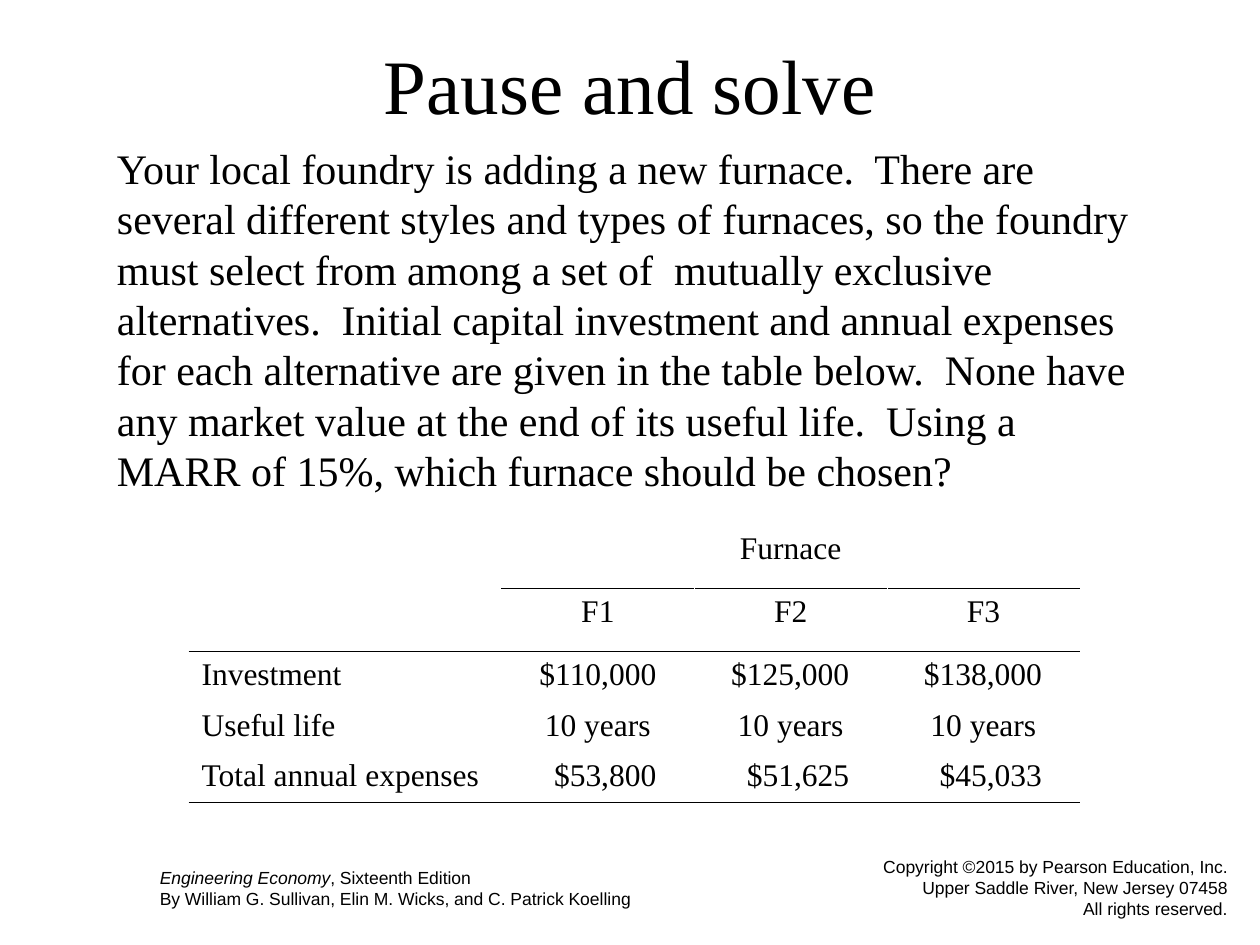
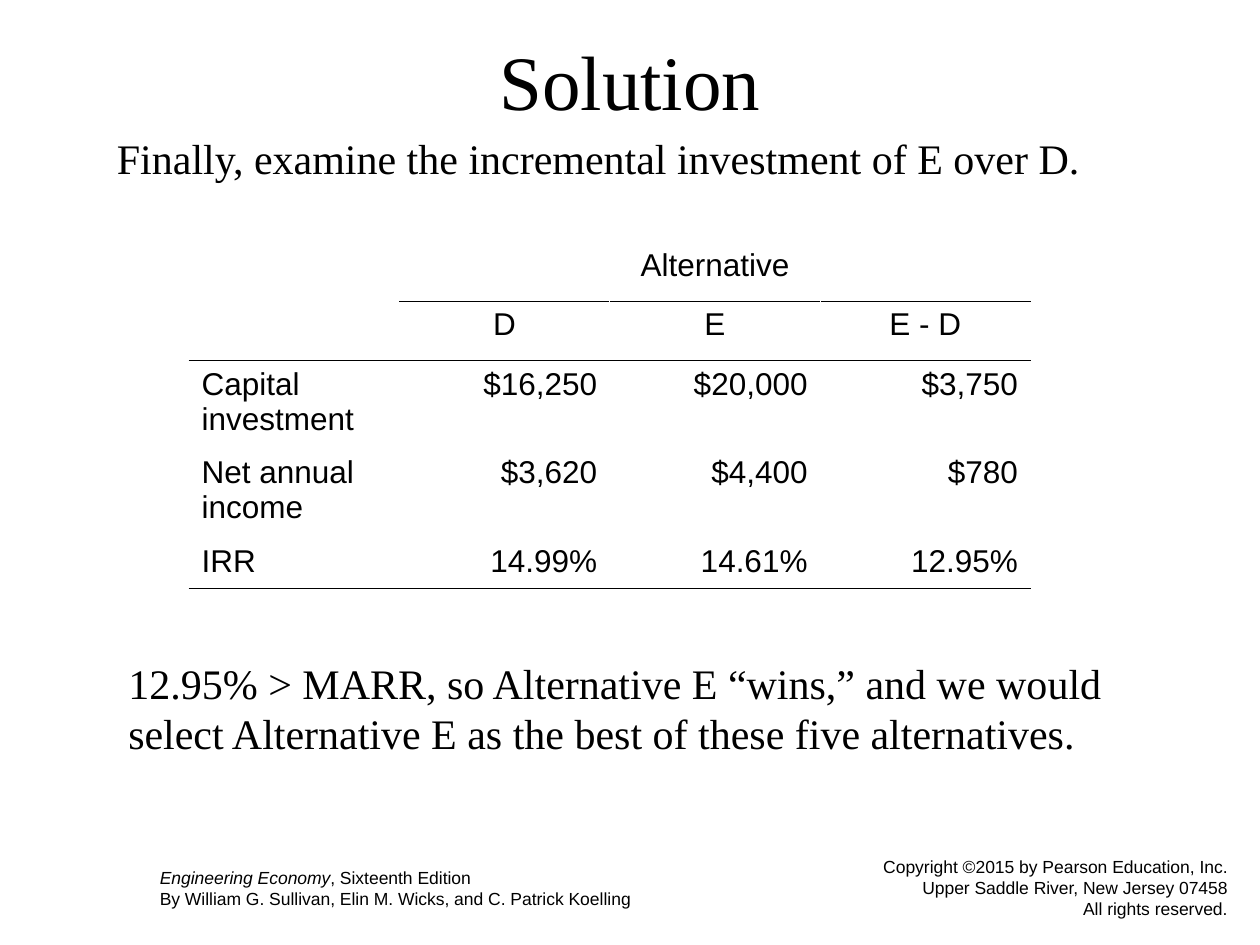
from dataclasses import dataclass

import pptx
from lxml import etree
from pptx.dml.color import RGBColor
from pptx.enum.text import MSO_ANCHOR, MSO_AUTO_SIZE, PP_ALIGN
from pptx.oxml.ns import qn
from pptx.util import Inches, Pt


@dataclass(frozen=True)
class Theme:
    ink: str = "000000"
    paper: str = "FFFFFF"
    serif: str = "Times New Roman"
    sans: str = "Arial"
    title: int = 44
    body: int = 24
    cell: int = 18
    footer: int = 10
    leading: float = 1.2
    rule: float = 0.45


THEME = Theme()
LEFT, CENTER, RIGHT, DECIMAL = "left", "center", "right", "decimal"
ALIGN = {LEFT: PP_ALIGN.LEFT, CENTER: PP_ALIGN.CENTER,
         RIGHT: PP_ALIGN.RIGHT, DECIMAL: PP_ALIGN.LEFT}
DECIMAL_TAB = 1.13

BOOK = ["Engineering Economy, Sixteenth Edition",
        "By William G. Sullivan, Elin M. Wicks, and C. Patrick Koelling"]
BOOK_TITLE = "Engineering Economy"
COPYRIGHT = ["Copyright ©2015 by Pearson Education, Inc.",
             "Upper Saddle River, New Jersey 07458",
             "All rights reserved."]

# Boxes are (left, top, width, height) in inches.
SLIDES = [
    {
        "title": ("Pause and solve", (0.75, 0.25, 8.5, 0.83)),
        "texts": [(
            "Your local foundry is adding a new furnace.  There are several different "
            "styles and types of furnaces, so the foundry must select from among a set "
            "of  mutually exclusive alternatives.  Initial capital investment and annual "
            "expenses for each alternative are given in the table below.  None have any "
            "market value at the end of its useful life.  Using a MARR of 15%, which "
            "furnace should be chosen?", (0.83, 1.08, 8.33, 2.9))],
        "table": {
            "at": (1.5, 4.17), "font": THEME.serif,
            "cols": [2.48, 1.53, 1.53, 1.53], "rows": [0.5, 0.5, 0.4, 0.4, 0.4],
            "group": "Furnace", "heads": ["F1", "F2", "F3"],
            "body": [
                ("Investment", DECIMAL, ["$110,000", "$125,000", "$138,000"]),
                ("Useful life", CENTER, ["10 years", "10 years", "10 years"]),
                ("Total annual expenses", DECIMAL, ["$53,800", "$51,625", "$45,033"]),
            ],
        },
    },
    {
        "title": ("Solution", (0.75, 0.17, 8.5, 0.92)),
        "texts": [
            ("Finally, examine the incremental investment of E over D.",
             (0.83, 1, 8.33, 0.5)),
            ("12.95% > MARR, so Alternative E “wins,” and we would select "
             "Alternative E as the best of these five alternatives.",
             (0.92, 5.17, 8.17, 0.9)),
        ],
        "table": {
            "at": (1.5, 1.92), "font": THEME.sans,
            "cols": [1.67] * 4, "rows": [0.47, 0.47, 0.7, 0.71, 0.4],
            "group": "Alternative", "heads": ["D", "E", "E - D"],
            "body": [
                ("Capital investment", RIGHT, ["$16,250", "$20,000", "$3,750"]),
                ("Net annual income", RIGHT, ["$3,620", "$4,400", "$780"]),
                ("IRR", RIGHT, ["14.99%", "14.61%", "12.95%"]),
            ],
        },
    },
]


def style(p, font, size, align=LEFT):
    p.alignment = ALIGN[align]
    for r in p.runs:
        r.font.name = font
        r.font.size = Pt(size)
        r.font.color.rgb = RGBColor.from_string(THEME.ink)


def add_text(s, lines, box, font, size, align=LEFT, anchor=MSO_ANCHOR.TOP):
    sp = s.shapes.add_textbox(*map(Inches, box))
    tf = sp.text_frame
    tf.word_wrap = True
    tf.vertical_anchor = anchor
    tf.text = "\n".join(lines)
    for p in tf.paragraphs:
        p.line_spacing = Pt(size * THEME.leading)
        style(p, font, size, align)
    return sp


def add_title(s, text, box):
    sp = s.shapes.title
    sp.left, sp.top, sp.width, sp.height = map(Inches, box)
    tf = sp.text_frame
    tf.text = text
    tf.word_wrap = True
    tf.auto_size = MSO_AUTO_SIZE.NONE
    tf.vertical_anchor = MSO_ANCHOR.MIDDLE
    style(tf.paragraphs[0], THEME.serif, THEME.title, CENTER)


def add_footers(s, layout):
    """Build both footers on a slide, then hand them over to its layout."""
    book = add_text(s, BOOK, (1.17, 6.83, 5, 0.44), THEME.sans, THEME.footer)
    p = book.text_frame.paragraphs[0]
    p.text = BOOK_TITLE
    p.add_run().text = BOOK[0].removeprefix(BOOK_TITLE)
    style(p, THEME.sans, THEME.footer)
    p.runs[0].font.italic = True
    rights = add_text(s, COPYRIGHT, (6.67, 6.75, 3.17, 0.59), THEME.sans,
                      THEME.footer, RIGHT, MSO_ANCHOR.MIDDLE)
    for sp in (book, rights):
        layout.shapes.element.append(sp.element)


def add_decimal_tab(p):
    tabs = etree.SubElement(p._p.get_or_add_pPr(), qn("a:tabLst"))
    etree.SubElement(tabs, qn("a:tab"), pos=str(Inches(DECIMAL_TAB)), algn="dec")


def set_borders(cell, top, bottom):
    tcPr = cell._tc.get_or_add_tcPr()
    sides = {"L": THEME.paper, "R": THEME.paper, "T": top, "B": bottom}
    for side, color in sides.items():
        ln = etree.SubElement(tcPr, qn(f"a:ln{side}"), w=str(Pt(THEME.rule)))
        fill = etree.SubElement(ln, qn("a:solidFill"))
        etree.SubElement(fill, qn("a:srgbClr"), val=color)


def rule_color(edge, col, last):
    """Colour of the horizontal edge above row number `edge`."""
    ruled = edge in (2, last) or (edge == 1 and col > 0)
    return THEME.ink if ruled else THEME.paper


def add_table(s, spec_):
    cols, rows = spec_["cols"], spec_["rows"]
    box = (*spec_["at"], sum(cols), sum(rows))
    table = s.shapes.add_table(len(rows), len(cols), *map(Inches, box)).table
    table.first_row = table.horz_banding = False
    for col, width in zip(table.columns, cols):
        col.width = Inches(width)
    for row, height in zip(table.rows, rows):
        row.height = Inches(height)

    lines = [("", CENTER, [spec_["group"], "", ""]),
             ("", CENTER, spec_["heads"]), *spec_["body"]]
    for i, (label, align, values) in enumerate(lines):
        for j, text in enumerate([label, *values]):
            cell = table.cell(i, j)
            set_borders(cell, rule_color(i, j, len(rows)),
                        rule_color(i + 1, j, len(rows)))
            cell.fill.solid()
            cell.fill.fore_color.rgb = RGBColor.from_string(THEME.paper)
            p = cell.text_frame.paragraphs[0]
            kind = align if j else LEFT
            if kind == DECIMAL:
                add_decimal_tab(p)
                text = "\t" + text
            p.text = text
            style(p, spec_["font"], THEME.cell, kind)
    table.cell(0, 1).merge(table.cell(0, len(cols) - 1))


def main():
    prs = pptx.Presentation()
    prs.slide_width, prs.slide_height = Inches(10), Inches(7.5)
    layout = prs.slide_layouts.get_by_name("Title Only")
    for i, content in enumerate(SLIDES):
        s = prs.slides.add_slide(layout)
        if i == 0:
            add_footers(s, layout)
        add_title(s, *content["title"])
        for text, box in content["texts"]:
            add_text(s, [text], box, THEME.serif, THEME.body)
        add_table(s, content["table"])
    prs.save("out.pptx")


if __name__ == "__main__":
    main()
